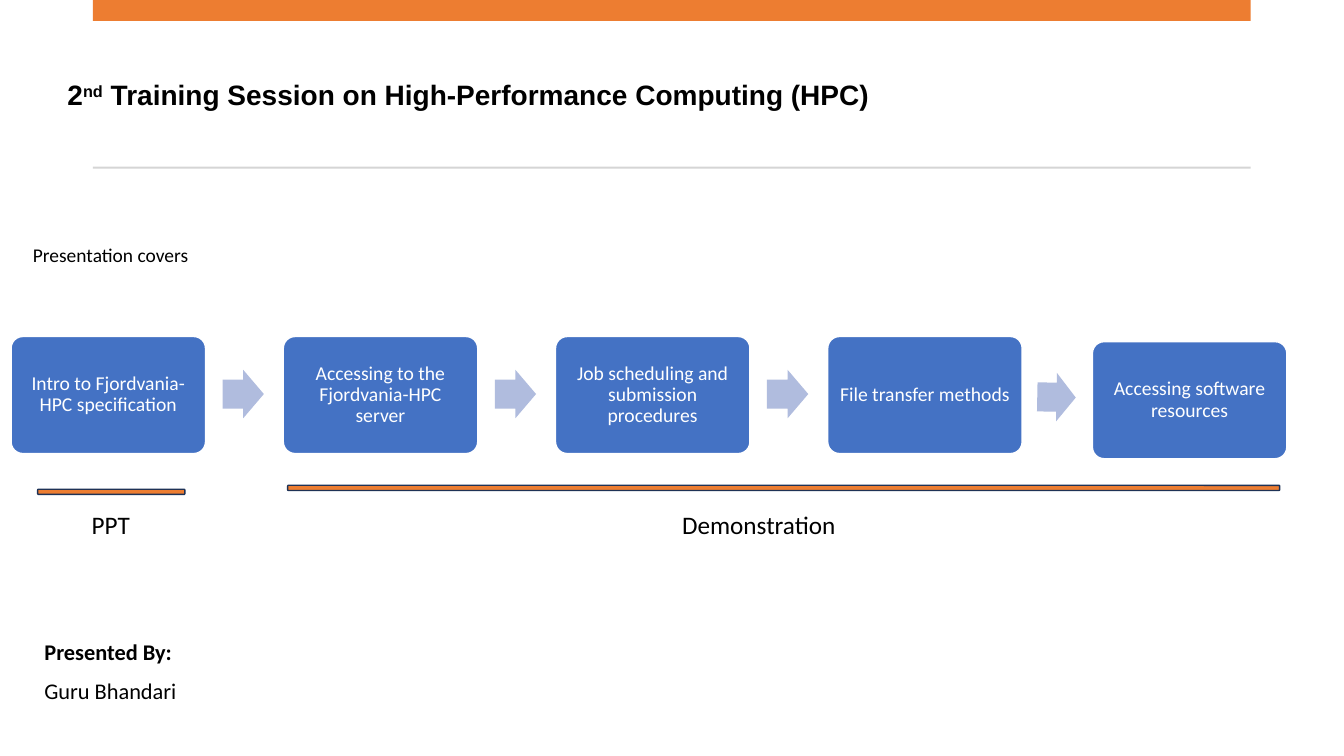
from dataclasses import dataclass

from pptx import Presentation
from pptx.dml.color import RGBColor
from pptx.enum import shapes, text
from pptx.util import Cm, Pt


@dataclass(frozen=True)
class Theme:
    black: str = "000000"
    white: str = "FFFFFF"
    orange: str = "ED7D31"
    grey: str = "D5D5D5"
    blue: str = "4472C4"
    pale: str = "B0BCDE"
    navy: str = "1E3256"
    head: float = 20
    label: float = 18
    name: float = 16
    step: float = 14
    note: float = 13.9


THEME = Theme()
KIND = shapes.MSO_SHAPE
STEPS = [
    "Intro to Fjordvania-HPC specification",
    "Accessing to the Fjordvania-HPC server",
    "Job scheduling and submission procedures",
    "File transfer methods",
    "Accessing software resources",
]


def style(para, size, color=THEME.black, bold=False, face="Calibri"):
    font = para.font
    font.name, font.size, font.bold = face, Pt(size), bold
    font.color.rgb = RGBColor.from_string(color)


def add_shape(slide, kind, box, fill, line=None):
    shape = slide.shapes.add_shape(kind, *map(Cm, box))
    shape.shadow.inherit = False
    shape.fill.solid()
    shape.fill.fore_color.rgb = RGBColor.from_string(fill)
    if line:
        shape.line.color.rgb = RGBColor.from_string(line)
        shape.line.width = Pt(1)
    else:
        shape.line.fill.background()
    return shape


def add_text(slide, box, words, size, wrap=False):
    frame = slide.shapes.add_textbox(*map(Cm, box)).text_frame
    frame.word_wrap = wrap
    frame.text = words
    for para in frame.paragraphs:
        style(para, size)
    return frame


def add_title(slide):
    frame = add_text(slide, (1.45, 0.94, 31.93, 3), "", THEME.head, True)
    frame.vertical_anchor = text.MSO_ANCHOR.MIDDLE
    para = frame.paragraphs[0]
    para.line_spacing = 0.9
    style(para, THEME.head, bold=True, face="Arial")
    for words in ("2", "nd", " Training Session on High-Performance Computing (HPC)"):
        run = para.add_run()
        run.text = words
        if words == "nd":
            run._r.get_or_add_rPr().set("baseline", "30000")


def add_step(slide, left, top, words):
    card = add_shape(slide, KIND.ROUNDED_RECTANGLE, (left, top, 4.9, 2.95),
                     THEME.blue, THEME.white)
    card.adjustments[0] = 0.1
    frame = card.text_frame
    frame.word_wrap = True
    frame.vertical_anchor = text.MSO_ANCHOR.MIDDLE
    frame.margin_left = frame.margin_right = Cm(0.2)
    frame.margin_top = frame.margin_bottom = Cm(0.2)
    frame.text = words
    para = frame.paragraphs[0]
    para.alignment = text.PP_ALIGN.CENTER
    para.line_spacing = 0.9
    style(para, THEME.step, THEME.white)


def add_arrow(slide, left, top, width, turn=0):
    arrow = add_shape(slide, KIND.RIGHT_ARROW, (left, top, width, 1.22), THEME.pale)
    arrow.adjustments[0] = 0.6
    arrow.adjustments[1] = 0.5
    arrow.rotation = turn


def add_flow(slide):
    left, top, pitch = 0.28, 8.48, 6.86
    *main_steps, last = STEPS
    for i, words in enumerate(main_steps):
        add_step(slide, left + i * pitch, top, words)
    for i in range(len(main_steps) - 1):
        add_arrow(slide, 5.61 + i * pitch, 9.32, 1.04)
    add_arrow(slide, 26.14, 9.4, 0.97, 1.1)
    add_step(slide, 27.53, 8.61, last)


def add_phase(slide, bar, box, words):
    add_shape(slide, KIND.ROUNDED_RECTANGLE, bar, THEME.orange, THEME.navy)
    add_text(slide, box, words, THEME.label)


def add_speaker(slide):
    frame = add_text(slide, (1.12, 15.95, 6.05, 3.05),
                     "Presented By:\nGuru Bhandari", THEME.name, True)
    frame.margin_left = frame.margin_right = 0
    frame.margin_top = frame.margin_bottom = 0
    for para in frame.paragraphs:
        para.line_spacing = 1.2
        para.space_after = Pt(4.6)
    frame.paragraphs[0].font.bold = True


def main():
    deck = Presentation()
    deck.slide_width, deck.slide_height = Cm(33.87), Cm(19.05)
    slide = deck.slides.add_slide(deck.slide_layouts[6])
    add_title(slide)
    add_shape(slide, KIND.RECTANGLE, (2.34, 0, 29.18, 0.53), THEME.orange)
    add_shape(slide, KIND.RECTANGLE, (2.34, 4.2, 29.18, 0.05), THEME.grey)
    add_speaker(slide)
    add_text(slide, (0.58, 6, 4.45, 0.84), "Presentation covers", THEME.note)
    add_flow(slide)
    add_phase(slide, (7.25, 12.23, 25, 0.13), (16.94, 12.7, 4.42, 1.02), "Demonstration")
    add_phase(slide, (0.95, 12.33, 3.71, 0.13), (2.06, 12.7, 1.47, 1.02), "PPT")
    deck.save("out.pptx")


if __name__ == "__main__":
    main()
